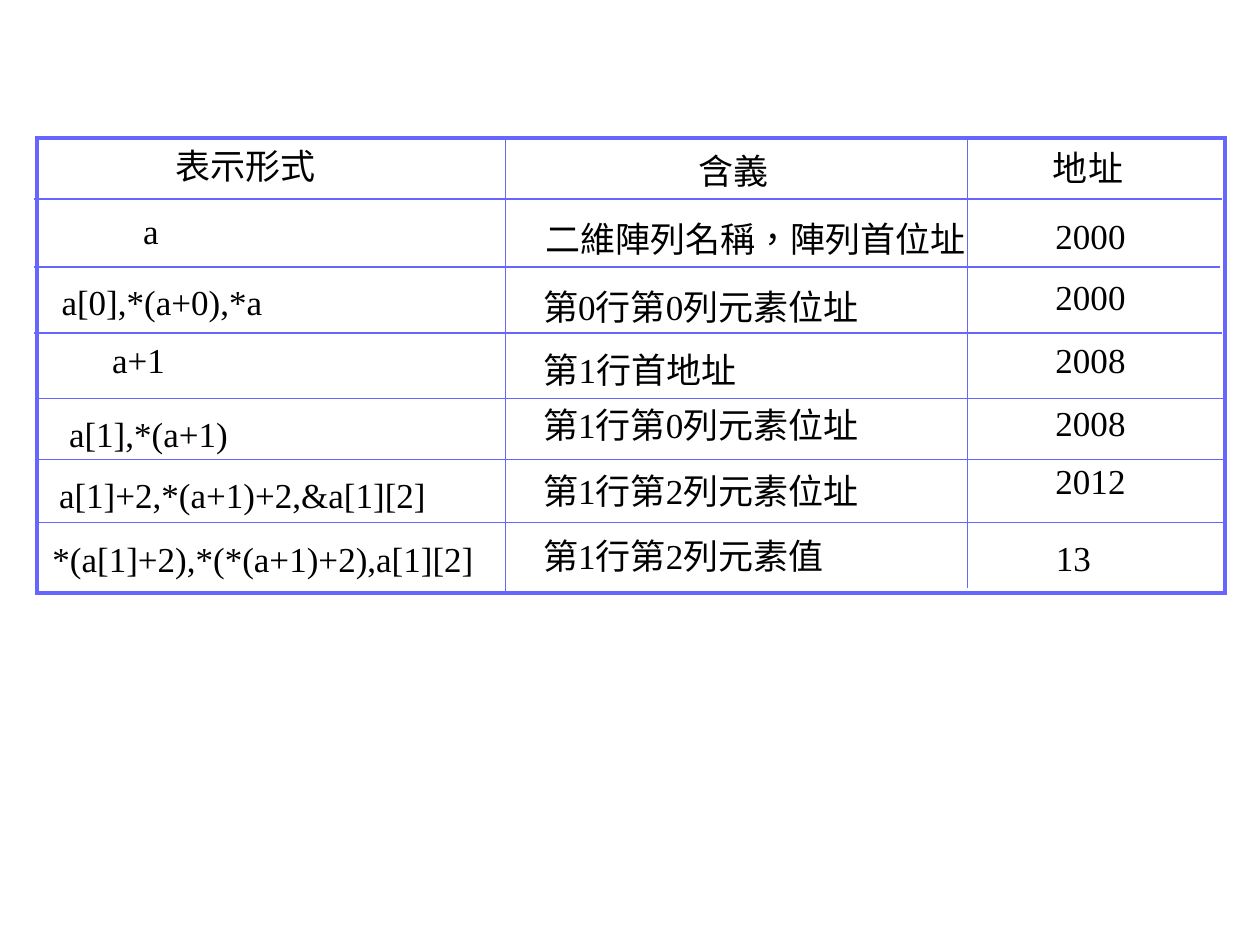
from pptx import Presentation
from pptx.dml.color import RGBColor
from pptx.enum.lang import MSO_LANGUAGE_ID
from pptx.enum.shapes import MSO_CONNECTOR, MSO_SHAPE
from pptx.enum.text import MSO_ANCHOR, MSO_AUTO_SIZE, PP_ALIGN
from pptx.oxml.ns import qn
from pptx.util import Cm, Pt
from lxml.etree import SubElement

COLORS = {"background": "FFFFFF", "grid": "6666FF", "text": "000000"}

presentation = Presentation()
presentation.slide_width = Cm(25.4)
presentation.slide_height = Cm(19.05)
slide = presentation.slides.add_slide(presentation.slide_layouts[6])


def add_text(text, left, top, width, height=1.12, size=20, font="Times New Roman", color="text"):
    box = slide.shapes.add_textbox(Cm(left), Cm(top), Cm(width), Cm(height))
    frame = box.text_frame
    frame.word_wrap = False
    frame.auto_size = MSO_AUTO_SIZE.NONE
    frame.margin_left = frame.margin_right = Cm(0.15)
    frame.vertical_anchor = MSO_ANCHOR.MIDDLE
    paragraph = frame.paragraphs[0]
    paragraph.alignment = PP_ALIGN.CENTER
    run = paragraph.add_run()
    run.text = text
    run.font.size = Pt(size)
    run.font.name = font
    run.font.language_id = MSO_LANGUAGE_ID.TRADITIONAL_CHINESE
    run.font.color.rgb = RGBColor.from_string(COLORS[color])


border = slide.shapes.add_shape(MSO_SHAPE.RECTANGLE, Cm(0.74), Cm(2.79), Cm(23.95), Cm(9.17))
border.shadow.inherit = False
border.fill.solid()
border.fill.fore_color.rgb = RGBColor.from_string(COLORS["background"])
border.line.color.rgb = RGBColor.from_string(COLORS["grid"])
border.line.width = Pt(2.25)
SubElement(border.element.spPr.find(qn("a:ln")), qn("a:miter"), lim="800000")

row_lines = [
    (0.69, 4.01, 24.64, 4.01),
    (0.69, 5.38, 24.59, 5.38),
    (0.69, 6.71, 24.64, 6.71),
    (0.74, 8.03, 24.69, 8.03),
    (0.79, 9.27, 24.69, 9.27),
    (0.74, 10.54, 24.69, 10.54),
]
column_lines = [(10.19, 2.74, 10.19, 11.91), (19.51, 2.74, 19.51, 11.86)]
for ends in row_lines + column_lines:
    connector = slide.shapes.add_connector(MSO_CONNECTOR.STRAIGHT, *map(Cm, ends))
    connector.line.color.rgb = RGBColor.from_string(COLORS["grid"])
    connector.line.width = Pt(0.75)
    SubElement(connector.element.spPr, qn("a:effectLst"))

rows = [
    [("表示形式", 3.28, 2.77, 3.33), ("含義", 13.84, 2.87, 1.91), ("地址", 20.98, 2.82, 1.91)],
    [("a", 2.64, 4.09, 0.81), ("二維陣列名稱，陣列首位址", 10.74, 4.24, 8.99), ("2000", 21.03, 4.19, 1.91)],
    [("a[0],*(a+0),*a", 0.99, 5.51, 4.55), ("第0行第0列元素位址", 10.36, 5.61, 7.54), ("2000", 21.03, 5.41, 1.91)],
    [("a+1", 2.01, 6.68, 1.57), ("第1行首地址", 10.54, 6.88, 4.72), ("2008", 21.03, 6.68, 1.91)],
    [("a[1],*(a+1)", 1.14, 8.18, 3.71), ("第1行第0列元素位址", 10.36, 8, 7.54), ("2008", 21.03, 7.95, 1.91)],
    [("a[1]+2,*(a+1)+2,&a[1][2]", 0.94, 9.4, 7.9), ("第1行第2列元素位址", 10.36, 9.32, 7.54), ("2012", 21.03, 9.12, 1.91)],
    [("*(a[1]+2),*(*(a+1)+2),a[1][2]", 0.81, 10.69, 8.99), ("第1行第2列元素值", 10.36, 10.64, 6.83), ("13", 21.03, 10.67, 1.22)],
]
for row in rows:
    for text, left, top, width in row:
        add_text(text, left=left, top=top, width=width)

presentation.save("out.pptx")
